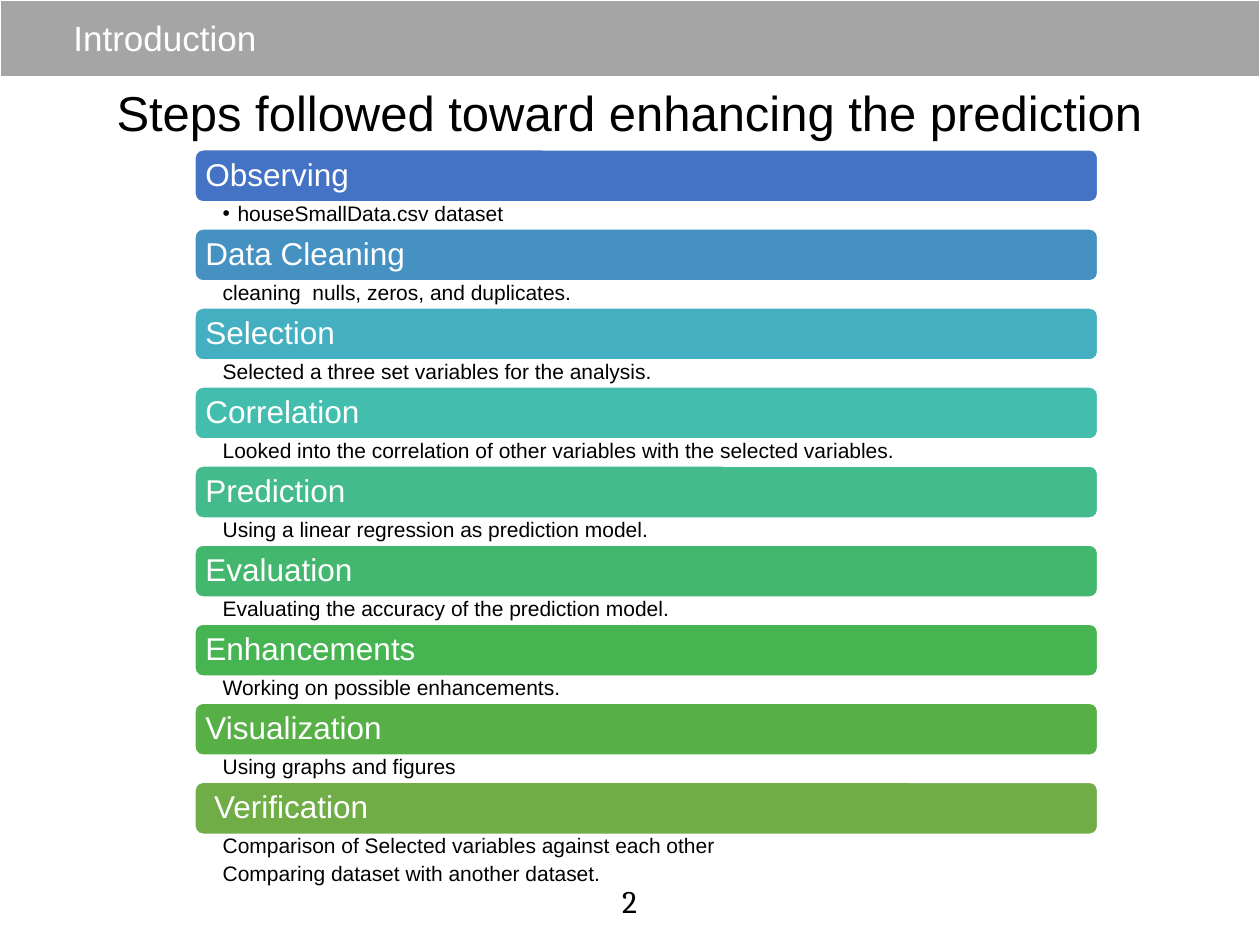
from dataclasses import dataclass
from typing import Any

from lxml import etree
from pptx import Presentation
from pptx.dml.color import RGBColor
from pptx.enum.shapes import MSO_SHAPE
from pptx.enum.text import MSO_ANCHOR, MSO_AUTO_SIZE, PP_ALIGN
from pptx.oxml.ns import qn
from pptx.util import Cm, Pt

RECT, ROUND = MSO_SHAPE.RECTANGLE, MSO_SHAPE.ROUNDED_RECTANGLE
TOP, MIDDLE = MSO_ANCHOR.TOP, MSO_ANCHOR.MIDDLE
LEFT, CENTER = PP_ALIGN.LEFT, PP_ALIGN.CENTER
FIXED, GROW = MSO_AUTO_SIZE.NONE, MSO_AUTO_SIZE.SHAPE_TO_FIT_TEXT

WHITE = RGBColor(0xFF, 0xFF, 0xFF)
BLACK = RGBColor(0x00, 0x00, 0x00)
GREY = RGBColor(0xA5, 0xA5, 0xA5)
BLUE = RGBColor(0x44, 0x72, 0xC4)
AZURE = RGBColor(0x44, 0x91, 0xC2)
CYAN = RGBColor(0x43, 0xAF, 0xC0)
TEAL = RGBColor(0x43, 0xBD, 0xAE)
JADE = RGBColor(0x43, 0xBB, 0x8D)
MINT = RGBColor(0x44, 0xB7, 0x6E)
GREEN = RGBColor(0x45, 0xB4, 0x51)
LEAF = RGBColor(0x56, 0xB0, 0x46)
OLIVE = RGBColor(0x70, 0xAD, 0x47)

# Step list layout, in cm
EDGE, WIDTH = 3.91, 18.24
FIRST, LAST = 3.0, 15.75
BAR, NOTE, DROP = 1.09, 0.5, 1.05


@dataclass
class Step:
    name: str
    notes: list[str]
    fill: RGBColor
    mark: bool = False


@dataclass
class Style:
    size: float
    color: RGBColor
    font: str = "Arial"
    align: Any = LEFT
    anchor: Any = TOP
    inset: tuple[float, float, float, float] = (0.13, 0.13, 0.13, 0.13)
    space: float = 0.9
    after: float = 0
    hang: float = 0
    level: int = 0
    wrap: bool = True
    fit: Any = FIXED


HEAD = Style(20, WHITE, anchor=MIDDLE)
LEAD = Style(28, BLACK, align=CENTER, inset=(0.13, 0.89, 0.13, 0.13), space=1.1)
PAGE = Style(18, BLACK, font="Cambria", align=CENTER, space=1, wrap=False, fit=GROW)
LABEL = Style(18, WHITE, anchor=MIDDLE, inset=(0.18, 0.18, 0.18, 0.18))
DETAIL = Style(12, BLACK, inset=(0.58, 0.05, 0.23, 0.05), after=2.5, hang=0.3, level=1)

STEPS = [
    Step("Observing", ["houseSmallData.csv dataset"], BLUE, mark=True),
    Step("Data Cleaning", ["cleaning  nulls, zeros, and duplicates."], AZURE),
    Step("Selection", ["Selected a three set variables for the analysis."], CYAN),
    Step("Correlation",
         ["Looked into the correlation of other variables with the selected variables."],
         TEAL),
    Step("Prediction", ["Using a linear regression as prediction model."], JADE),
    Step("Evaluation", ["Evaluating the accuracy of the prediction model."], MINT),
    Step("Enhancements", ["Working on possible enhancements."], GREEN),
    Step("Visualization", ["Using graphs and figures"], LEAF),
    Step(" Verification",
         ["Comparison of Selected variables against each other",
          "Comparing dataset with another dataset."], OLIVE),
]


def apply(item: Any, values: dict[str, Any]) -> None:
    for key, value in values.items():
        setattr(item, key, value)


def place(shape: Any, x: float, y: float, w: float, h: float) -> None:
    apply(shape, {"left": Cm(x), "top": Cm(y), "width": Cm(w), "height": Cm(h)})


def write(shape: Any, lines: list[str], style: Style, mark: bool = False) -> None:
    frame = shape.text_frame
    sides = ("margin_left", "margin_top", "margin_right", "margin_bottom")
    apply(frame, {side: Cm(gap) for side, gap in zip(sides, style.inset)})
    apply(frame, {"word_wrap": style.wrap, "auto_size": style.fit,
                  "vertical_anchor": style.anchor, "text": "\n".join(lines)})
    for para in frame.paragraphs:
        apply(para, {"alignment": style.align, "level": style.level,
                     "line_spacing": style.space, "space_before": Pt(0),
                     "space_after": Pt(style.after)})
        # Hanging indent and bullet
        props = para._p.get_or_add_pPr()
        props.set("marL", str(Cm(style.hang)))
        props.set("indent", str(-Cm(style.hang)))
        if mark:
            etree.SubElement(props, qn("a:buFont")).set("typeface", style.font)
            etree.SubElement(props, qn("a:buChar")).set("char", "•")
        else:
            etree.SubElement(props, qn("a:buNone"))
        for run in para.runs:
            apply(run.font, {"size": Pt(style.size), "name": style.font})
            run.font.color.rgb = style.color


def add_bar(slide: Any, kind: Any, box: tuple[float, float, float, float],
            fill: RGBColor, line: float) -> Any:
    bar = slide.shapes.add_shape(kind, *map(Cm, box))
    bar.shadow.inherit = False
    bar.fill.solid()
    bar.fill.fore_color.rgb = fill
    bar.line.color.rgb = WHITE
    bar.line.width = Pt(line)
    return bar


def add_label(slide: Any, step: Step, y: float) -> None:
    bar = add_bar(slide, ROUND, (EDGE, y, WIDTH, BAR), step.fill, 2)
    write(bar, [step.name], LABEL)


def add_note(slide: Any, step: Step, y: float) -> None:
    box = (EDGE, y + DROP, WIDTH, NOTE * len(step.notes))
    note = slide.shapes.add_textbox(*map(Cm, box))
    write(note, step.notes, DETAIL, step.mark)


def main() -> None:
    deck = Presentation()
    apply(deck, {"slide_width": Cm(25.4), "slide_height": Cm(19.05)})
    slide = deck.slides.add_slide(deck.slide_layouts[1])
    title, body = slide.placeholders

    # Header band, sent behind the title
    band = add_bar(slide, RECT, (0, 0, 25.4, 1.57), GREY, 1.5)
    slide.shapes._spTree.insert(2, band._element)
    place(title, 1.35, 0.05, 19.48, 1.5)
    write(title, ["Introduction"], HEAD)

    # Page number
    page = slide.shapes.add_textbox(Cm(12.37), Cm(17.65), Cm(0.64), Cm(0.99))
    write(page, ["2"], PAGE)

    # Lead line
    place(body, 0.43, 0.66, 24.51, 11.53)
    write(body, ["Steps followed toward enhancing the prediction"], LEAD)

    # Steps at an equal pitch, all bars below all notes
    pitch = (LAST - FIRST) / (len(STEPS) - 1)
    for draw in (add_label, add_note):
        for i, step in enumerate(STEPS):
            draw(slide, step, FIRST + i * pitch)

    deck.save("out.pptx")


if __name__ == "__main__":
    main()
